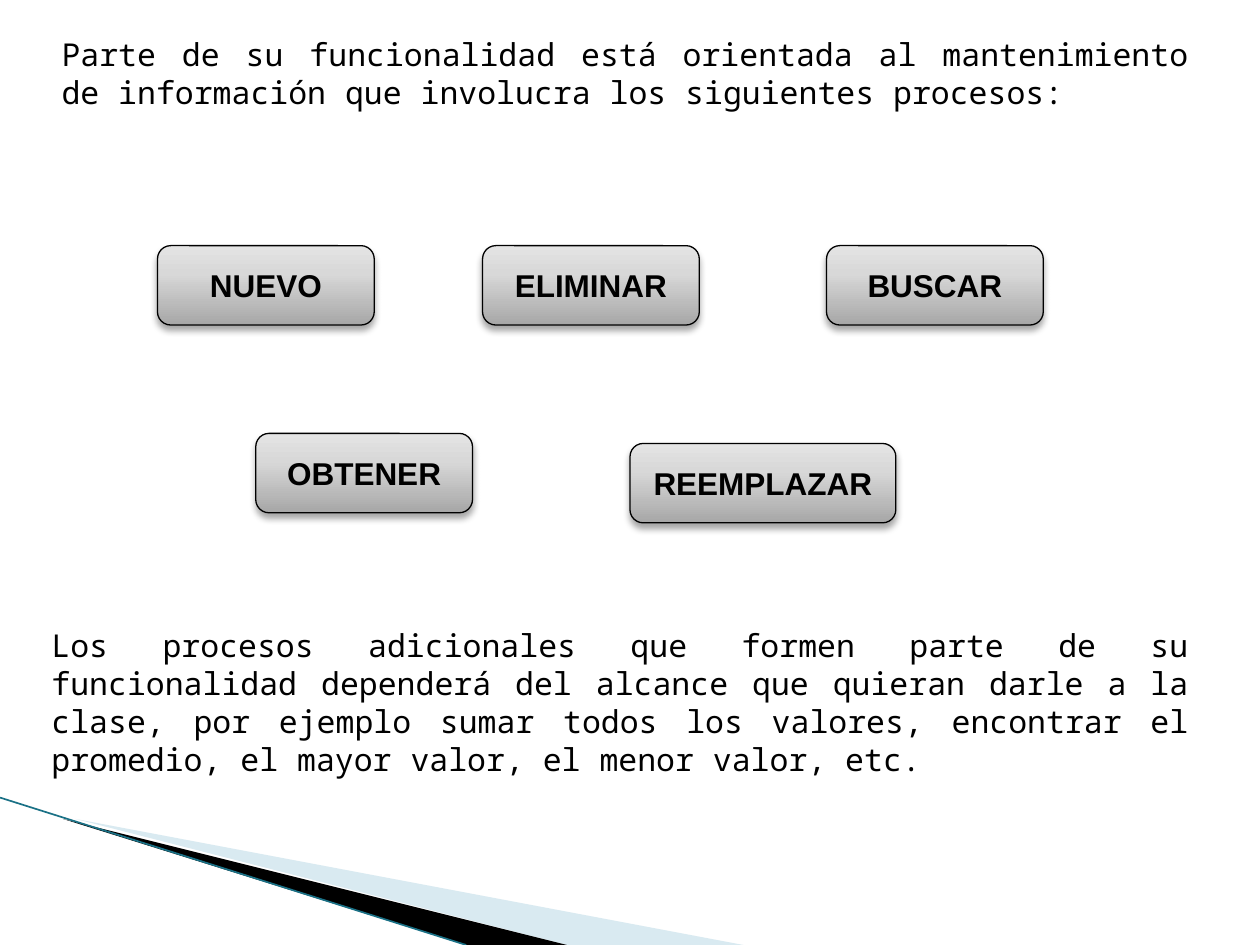
from copy import deepcopy
from dataclasses import dataclass

from lxml import etree
from pptx import Presentation, util as u
from pptx.dml.color import RGBColor
from pptx.enum import shapes, text
from pptx.oxml.ns import qn

CELL = u.Inches(0.1)  # the page is a grid of 100 columns by 75 rows
COLUMNS, ROWS = 100, 75


@dataclass(frozen=True)
class Theme:
    ink: str = "000000"
    pale: str = "A0CBDC"
    edge: str = "1A7186"
    steel: tuple = ((0, "A7A7A7"), (0.65, "D8D8D8"), (1, "E4E4E4"))  # bottom to top
    body_font: str = "Noto Sans Mono"
    button_font: str = "Arial"
    size: int = 18


@dataclass(frozen=True)
class Passage:
    words: str
    left: float
    top: float
    width: float
    height: float


@dataclass(frozen=True)
class Button:
    label: str
    left: float
    top: float
    width: float = 17.2
    height: float = 6.3


@dataclass(frozen=True)
class Wedge:
    points: tuple
    color: str
    opacity: int = 100


THEME = Theme()
FIRST_ROW = 19.5

PASSAGES = (
    Passage("Parte de su funcionalidad está orientada al mantenimiento de información "
            "que involucra los siguientes procesos:", 3.9, 2.3, 91.4, 7.1),
    Passage("Los procesos adicionales que formen parte de su funcionalidad dependerá del "
            "alcance que quieran darle a la clase, por ejemplo sumar todos los valores, "
            "encontrar el promedio, el mayor valor, el menor valor, etc.",
            3.1, 49.2, 92.2, 13.1),
)
BUTTONS = (
    Button("NUEVO", 12.5, FIRST_ROW),
    Button("ELIMINAR", 38.3, FIRST_ROW),
    Button("BUSCAR", 65.6, FIRST_ROW),
    Button("REEMPLAZAR", 50, 35.2, width=21.1),
    Button("OBTENER", 20.3, 34.4),
)
WEDGES = (
    Wedge(((5.5, 65.1), (59.2, ROWS), (45.4, ROWS)), THEME.pale, 40),
    Wedge(((5.3, 64.9), (45.4, ROWS), (37, ROWS)), THEME.ink),
)


def cells(*counts: float) -> list:
    return [u.Emu(round(count * CELL)) for count in counts]


def rgb(value: str) -> RGBColor:
    return RGBColor.from_string(value)


def add_child(parent, tag: str, **attributes):
    return etree.SubElement(parent, qn(tag), {k: str(v) for k, v in attributes.items()})


def write(frame, words: str, font: str, align, bold: bool = False) -> None:
    frame.word_wrap = True
    para = frame.paragraphs[0]
    para.text = words
    para.alignment = align
    para.font.name = font
    para.font.size = u.Pt(THEME.size)
    para.font.bold = bold
    para.font.color.rgb = rgb(THEME.ink)


def draw_wedge(page, wedge: Wedge) -> None:
    start, *others = wedge.points
    builder = page.shapes.build_freeform(*start, scale=CELL)
    builder.add_line_segments(others, close=True)
    shape = builder.convert_to_shape()
    shape.shadow.inherit = False
    shape.fill.solid()
    shape.fill.fore_color.rgb = rgb(wedge.color)
    shape.line.fill.background()
    if wedge.opacity < 100:
        color = shape.fill._xPr.find(".//" + qn("a:srgbClr"))
        add_child(color, "a:alpha", val=wedge.opacity * 1000)


def draw_edge(page) -> None:
    line = page.shapes.add_connector(shapes.MSO_CONNECTOR.STRAIGHT,
                                     *cells(0, 63.3, 37, ROWS))
    line.line.color.rgb = rgb(THEME.edge)
    line.line.width = u.Pt(0.95)
    add_child(line._element.spPr, "a:effectLst")


def draw_passage(page, passage: Passage) -> None:
    box = page.shapes.add_textbox(
        *cells(passage.left, passage.top, passage.width, passage.height))
    write(box.text_frame, passage.words, THEME.body_font, text.PP_ALIGN.JUSTIFY)


def fill_steel(shape) -> None:
    shape.fill.gradient()
    shape.fill.gradient_angle = 90
    first = shape._element.spPr.find(".//" + qn("a:gs"))
    first.addnext(deepcopy(first))
    for stop, (position, color) in zip(shape.fill.gradient_stops, THEME.steel):
        stop.position = position
        stop.color.rgb = rgb(color)


def drop_shadow(shape) -> None:
    shape.shadow.inherit = False
    effects = shape._element.spPr.find(qn("a:effectLst"))
    shadow = add_child(effects, "a:outerShdw", blurRad=u.Pt(4), dist=u.Pt(3),
                       dir=90 * 60000, rotWithShape=0)
    color = add_child(shadow, "a:srgbClr", val=THEME.ink)
    add_child(color, "a:alpha", val=35000)


def draw_button(page, button: Button) -> None:
    shape = page.shapes.add_shape(
        shapes.MSO_SHAPE.ROUNDED_RECTANGLE,
        *cells(button.left, button.top, button.width, button.height))
    fill_steel(shape)
    shape.line.color.rgb = rgb(THEME.ink)
    shape.line.width = u.Pt(0.75)
    drop_shadow(shape)
    shape.text_frame.vertical_anchor = text.MSO_ANCHOR.MIDDLE
    write(shape.text_frame, button.label, THEME.button_font,
          text.PP_ALIGN.CENTER, bold=True)


def main() -> None:
    deck = Presentation()
    deck.slide_width, deck.slide_height = cells(COLUMNS, ROWS)
    page = deck.slides.add_slide(deck.slide_layouts[6])

    # Corner decoration
    for wedge in WEDGES:
        draw_wedge(page, wedge)
    draw_edge(page)

    # Text above and below the buttons
    for passage in PASSAGES:
        draw_passage(page, passage)

    # Processes
    for button in BUTTONS:
        draw_button(page, button)

    deck.save("out.pptx")


if __name__ == "__main__":
    main()
